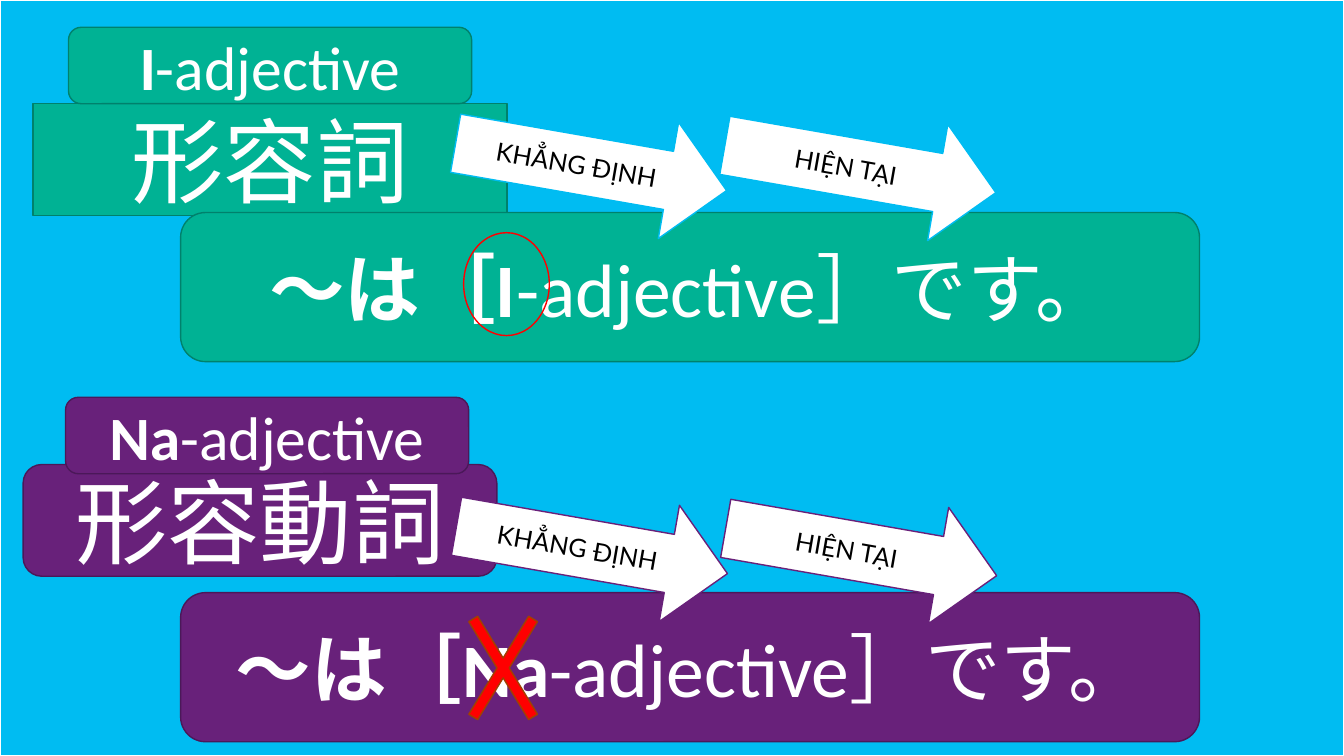
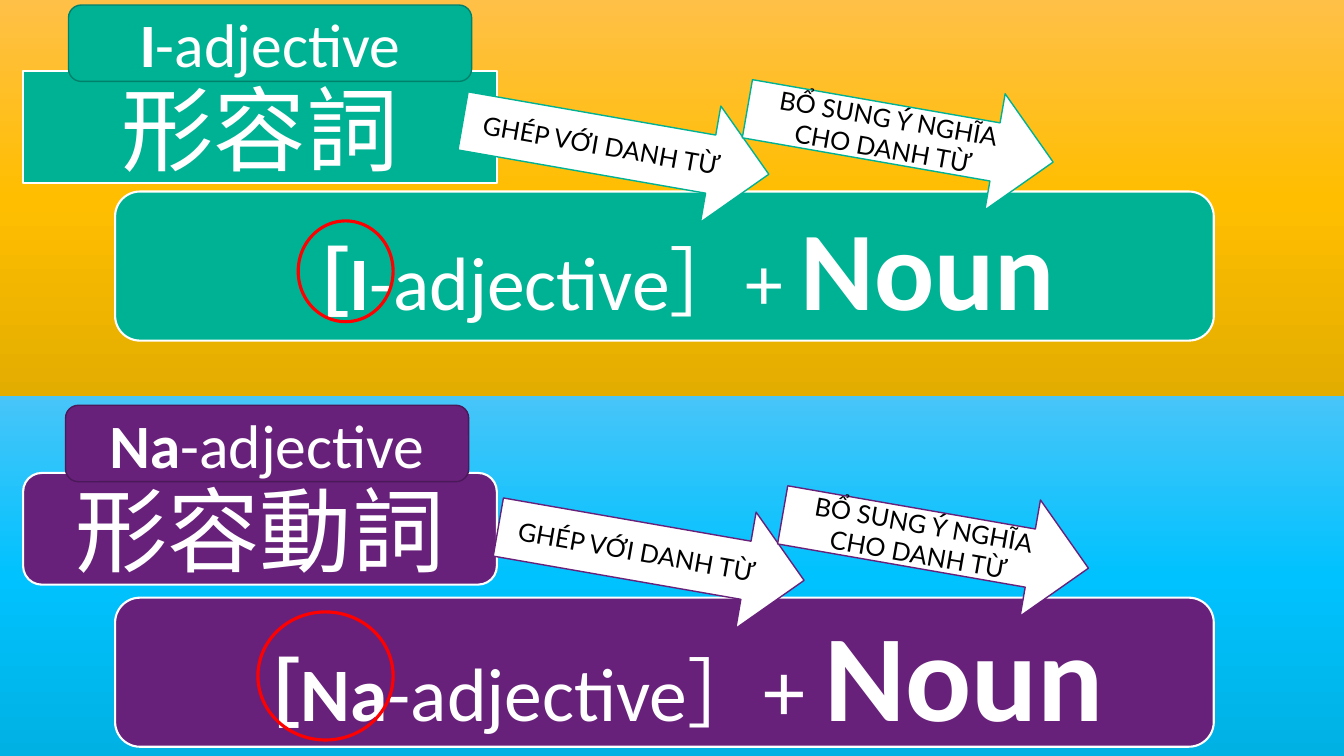
import copy

import pptx
import pptx.dml.color
import pptx.enum.shapes
import pptx.enum.text
import pptx.oxml
import pptx.oxml.ns
import pptx.util
from lxml import etree

qn = pptx.oxml.ns.qn
Pt = pptx.util.Pt
SHAPE = pptx.enum.shapes.MSO_SHAPE
COLS, ROWS = 32, 18

WHITE, BLACK, RED = "FFFFFF", "000000", "FF0000"
SKY, GREEN, PURPLE = "00BCF2", "00B294", "68217A"
EDGES = {GREEN: "00816C", PURPLE: "4B1859"}
AMBER_FADE = ["FFC047", "FFBE00", "E3AD00"]
SKY_FADE = ["47C5F9", "00C2FE", "00B1E3"]


def rgb(value):
    return pptx.dml.color.RGBColor.from_string(value)


class Deck:
    """Holds the shared style and the current slide; lengths are grid cells."""

    HEAD = {"name": "Arial", "size": Pt(66), "bold": False}
    TAG = {"name": "Calibri", "size": Pt(44)}
    PATTERN = {"name": "Calibri", "size": Pt(54)}
    ARROW = {"name": "Lato", "size": Pt(18)}
    FRAME = {"word_wrap": True,
             "auto_size": pptx.enum.text.MSO_AUTO_SIZE.NONE,
             "vertical_anchor": pptx.enum.text.MSO_ANCHOR.MIDDLE,
             "margin_left": Pt(7.2), "margin_right": Pt(7.2),
             "margin_top": Pt(3.6), "margin_bottom": Pt(3.6)}
    TILT = 9.9

    def __init__(self):
        self.prs = pptx.Presentation()
        self.prs.slide_width = pptx.util.Inches(13.33)
        self.prs.slide_height = pptx.util.Inches(7.5)
        self.s = None

    def new_slide(self):
        self.s = self.prs.slides.add_slide(self.prs.slide_layouts[5])

    def box(self, x, y, w, h):
        col = self.prs.slide_width / COLS
        row = self.prs.slide_height / ROWS
        return [round(v) for v in (x * col, y * row, w * col, h * row)]

    def paint(self, sp, fill=None, line=None, width=1):
        if fill:
            sp.fill.solid()
            sp.fill.fore_color.rgb = rgb(fill)
        else:
            sp.fill.background()
        if line:
            sp.line.color.rgb = rgb(line)
            sp.line.width = Pt(width)
        else:
            sp.line.fill.background()

    def shape(self, kind, at, fill=None, line=None, width=1):
        sp = self.s.shapes.add_shape(kind, *self.box(*at))
        sp.shadow.inherit = False
        self.paint(sp, fill, line, width)
        return sp

    def put_text(self, sp, runs, style, color=WHITE):
        """Each run is (text, format values that differ from the style)."""
        tf = sp.text_frame
        for key, value in self.FRAME.items():
            setattr(tf, key, value)
        p = tf.paragraphs[0]
        p.alignment = pptx.enum.text.PP_ALIGN.CENTER
        for text, extra in runs:
            r = p.add_run()
            r.text = text
            r.font.color.rgb = rgb(color)
            for key, value in {**style, **extra}.items():
                setattr(r.font, key, value)

    def fade_band(self, y, h, colors):
        sp = self.shape(SHAPE.RECTANGLE, (0, y, COLS, h))
        sp.fill.gradient()
        sp.fill.gradient_angle = 270
        stops = sp.element.find(".//" + qn("a:gsLst"))
        stops.insert(1, copy.deepcopy(stops[0]))
        for i, (stop, color) in enumerate(zip(sp.fill.gradient_stops, colors)):
            stop.color.rgb = rgb(color)
            stop.position = i / (len(colors) - 1)

    def panel(self, at, runs, style, fill, line, width=1):
        sp = self.shape(SHAPE.ROUNDED_RECTANGLE, at, fill, line, width)
        self.put_text(sp, runs, style)

    def title(self, at, text, fill, line, width):
        """The title placeholder, shaped as a rounded panel."""
        sp = self.s.shapes.title
        sp.left, sp.top, sp.width, sp.height = self.box(*at)
        geom = etree.SubElement(sp.element.spPr, qn("a:prstGeom"), prst="roundRect")
        etree.SubElement(geom, qn("a:avLst"))
        self.paint(sp, fill, line, width)
        self.put_text(sp, [(text, {})], self.HEAD)
        self.s.shapes.element.append(sp.element)  # above the background bands

    def arrows(self, x, y, w, step, labels, line):
        for i, label in enumerate(labels):
            at = (x + i * step[0], y + i * step[1], w, 2.81)
            sp = self.shape(SHAPE.RIGHT_ARROW, at, WHITE, line)
            sp.rotation = self.TILT
            self.put_text(sp, [(label, {})], self.ARROW, BLACK)

    def ring(self, at, width):
        self.shape(SHAPE.OVAL, at, None, RED, width)

    def cross(self, at):
        sp = self.shape(SHAPE.MATH_MULTIPLY, at, RED, "A14000")
        sp.adjustments[0] = 0.09

    def group(self, look, color, prefix, kanji, head, panel_y, tag, arrow,
              before, after, arrow_line=None):
        """One adjective type: kanji head, pattern panel, arrows and tag."""
        line = look["line"] or EDGES[color]
        head_at = (*head, 11.28, 2.66)
        if not self.s.shapes.title.text_frame.text:  # first head is the title
            self.title(head_at, kanji, color, line, look["width"])
        else:
            self.panel(head_at, [(kanji, {})], self.HEAD, color, line, look["width"])
        bold, plain = {"bold": True}, {"bold": False}
        pattern = [(before + prefix, bold), ("-adjective］", plain), *after]
        self.panel((look["panel_x"], panel_y, look["panel_w"], 3.55), pattern,
                   self.PATTERN, color, line, look["width"])
        self.arrows(*arrow, look["arrow_w"], look["step"], look["labels"],
                    arrow_line or color)
        self.panel((*tag, 9.6, 1.82), [(prefix, bold), ("-adjective", plain)],
                   self.TAG, color, EDGES[color])


def noun(plus_size, noun_size):
    return [("+ ", {"size": Pt(plus_size), "bold": False}),
            ("Noun", {"size": Pt(noun_size), "bold": True})]


def main():
    deck = Deck()
    i_adj = (GREEN, "I", "形容詞")
    na_adj = (PURPLE, "Na", "形容動詞")

    # Present affirmative sentences
    deck.new_slide()
    deck.shape(SHAPE.RECTANGLE, (0, 0, COLS, ROWS), SKY, WHITE, 1.5)
    look = {"line": None, "width": 1, "panel_x": 4.3, "panel_w": 24.26,
            "arrow_w": 6.55, "step": (6.41, 0.05),
            "labels": ["KHẲNG ĐỊNH", "HIỆN TẠI"]}
    ending = [("です。", {"bold": False})]
    deck.group(look, *i_adj, head=(0.79, 2.47), panel_y=5.06, tag=(1.63, 0.65),
               arrow=(10.8, 2.57), before="～は［", after=ending, arrow_line=SKY)
    deck.group(look, *na_adj, head=(0.55, 11.06), panel_y=14.11, tag=(1.56, 9.46),
               arrow=(10.82, 11.69), before="～は［", after=ending)
    deck.ring((11.04, 5.54, 2.04, 2.45), 1)
    deck.cross((10.61, 13.66, 2.74, 4.49))

    # Adjectives in front of nouns
    deck.new_slide()
    split = 9.43
    deck.fade_band(0, split, AMBER_FADE)
    deck.fade_band(split, ROWS - split, SKY_FADE)
    look = {"line": WHITE, "width": 1.5, "panel_x": 2.74, "panel_w": 26.16,
            "arrow_w": 7.39, "step": (6.77, -0.29),
            "labels": ["GHÉP VỚI DANH TỪ", "BỔ SUNG Ý NGHĨA CHO DANH TỪ"]}
    deck.group(look, *i_adj, head=(0.55, 1.7), panel_y=4.56, tag=(1.63, 0.12),
               arrow=(10.97, 2.11), before="［", after=noun(54, 80))
    deck.group(look, *na_adj, head=(0.55, 11.26), panel_y=14.23, tag=(1.56, 9.65),
               arrow=(11.81, 11.78), before="［", after=noun(60, 88))
    deck.ring((7.1, 5.26, 2.26, 2.4), 2.25)
    deck.ring((6.14, 14.57, 3.22, 3.05), 2.25)

    deck.prs.save("out.pptx")


if __name__ == "__main__":
    main()
